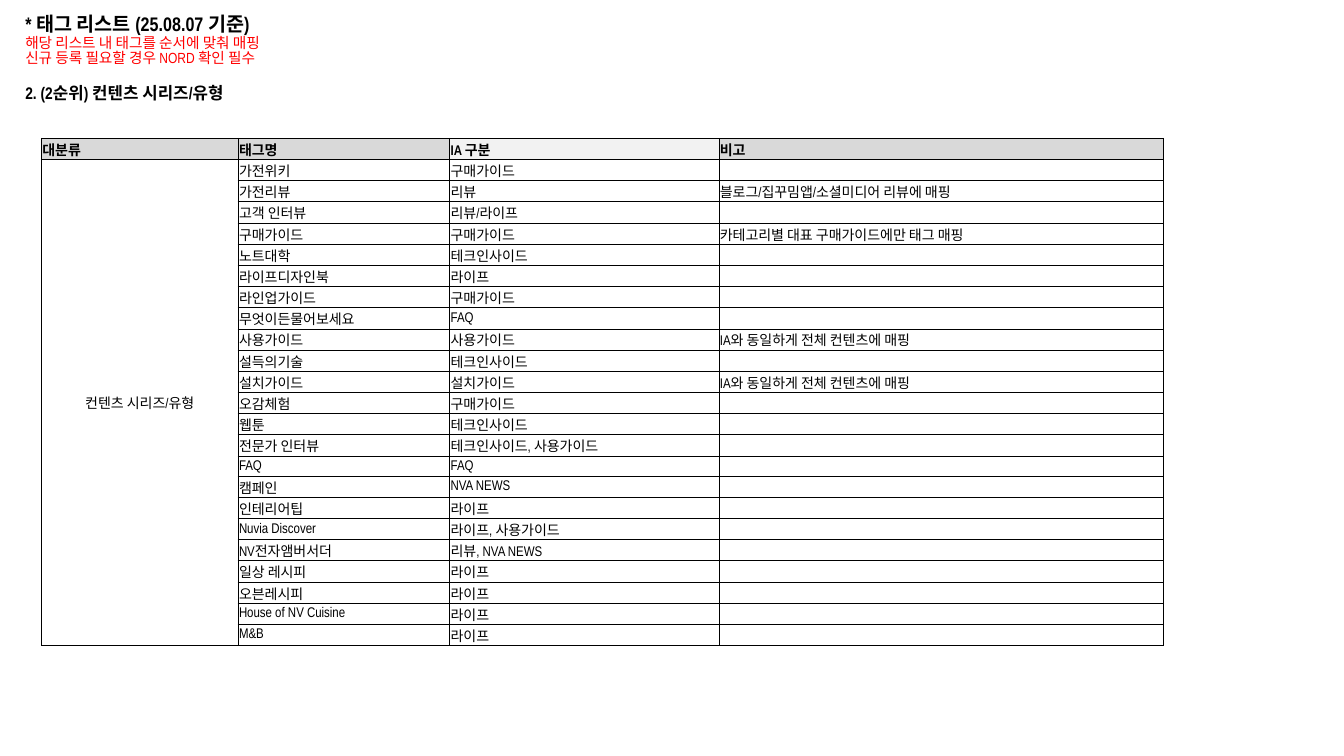
from dataclasses import dataclass

from lxml.etree import SubElement
from pptx import Presentation
from pptx.dml.color import RGBColor
from pptx.enum.text import MSO_ANCHOR as Anchor, MSO_AUTO_SIZE as AutoSize, PP_ALIGN as Align
from pptx.oxml.ns import qn
from pptx.slide import Slide
from pptx.table import Table, _Cell as Cell
from pptx.util import Emu, Inches, Pt

WIDTH, HEIGHT = Inches(13.33), Inches(7.5)
FONT = "Arial Narrow"
BODY_SIZE = 10
COLORS = {
    "black": "000000",
    "red": "FF0000",
    "gray": "D9D9D9",
    "pale": "F2F2F2",
}


@dataclass(frozen=True)
class Line:
    text: str
    size: float
    color: str = "black"
    bold: bool = False
    before: float = 0


@dataclass(frozen=True)
class Column:
    heading: str
    share: float
    fill: str = "gray"


@dataclass(frozen=True)
class Tag:
    name: str
    section: str
    note: str = ""


TITLE_LINES = [
    Line("* 태그 리스트 (25.08.07 기준)", 14, bold=True),
    Line("해당 리스트 내 태그를 순서에 맞춰 매핑", 10.5, "red"),
    Line("신규 등록 필요할 경우 NORD 확인 필수", 10.5, "red"),
    Line("2. (2순위) 컨텐츠 시리즈/유형", 12, bold=True, before=13),
]
COLUMNS = [
    Column("대분류", 14.63),
    Column("태그명", 15.75),
    Column("IA 구분", 20.03, "pale"),
    Column("비고", 33.08),
]
CATEGORY = "컨텐츠 시리즈/유형"
SAME_AS_IA = "IA와 동일하게 전체 컨텐츠에 매핑"
TAGS = [
    Tag("가전위키", "구매가이드"),
    Tag("가전리뷰", "리뷰", "블로그/집꾸밈앱/소셜미디어 리뷰에 매핑"),
    Tag("고객 인터뷰", "리뷰/라이프"),
    Tag("구매가이드", "구매가이드", "카테고리별 대표 구매가이드에만 태그 매핑"),
    Tag("노트대학", "테크인사이드"),
    Tag("라이프디자인북", "라이프"),
    Tag("라인업가이드", "구매가이드"),
    Tag("무엇이든물어보세요", "FAQ"),
    Tag("사용가이드", "사용가이드", SAME_AS_IA),
    Tag("설득의기술", "테크인사이드"),
    Tag("설치가이드", "설치가이드", SAME_AS_IA),
    Tag("오감체험", "구매가이드"),
    Tag("웹툰", "테크인사이드"),
    Tag("전문가 인터뷰", "테크인사이드, 사용가이드"),
    Tag("FAQ", "FAQ"),
    Tag("캠페인", "NVA NEWS"),
    Tag("인테리어팁", "라이프"),
    Tag("Nuvia Discover", "라이프, 사용가이드"),
    Tag("NV전자앰버서더", "리뷰, NVA NEWS"),
    Tag("일상 레시피", "라이프"),
    Tag("오븐레시피", "라이프"),
    Tag("House of NV Cuisine", "라이프"),
    Tag("M&B", "라이프"),
]


def across(percent: float) -> Emu:
    return Emu(round(WIDTH * percent / 100))


def down(percent: float) -> Emu:
    return Emu(round(HEIGHT * percent / 100))


def rgb(name: str) -> RGBColor:
    return RGBColor.from_string(COLORS[name])


def format_runs(para, size: float, color: str, bold: bool) -> None:
    for span in para.runs:
        span.font.name = FONT
        span.font.size = Pt(size)
        span.font.bold = bold
        span.font.color.rgb = rgb(color)


def draw_title(page: Slide) -> None:
    box = page.shapes.title
    box.left, box.top = across(1.13), down(1.2)
    box.width, box.height = across(23.63), down(19.87)
    frame = box.text_frame
    frame.text = "\n".join(line.text for line in TITLE_LINES)
    frame.word_wrap = True
    frame.auto_size = AutoSize.NONE
    frame.vertical_anchor = Anchor.TOP
    for para, line in zip(frame.paragraphs, TITLE_LINES):
        para.alignment = Align.LEFT
        para.line_spacing = 0.9
        para.space_before = Pt(line.before)
        format_runs(para, line.size, line.color, line.bold)


def draw_borders(cell: Cell) -> None:
    properties = cell._tc.get_or_add_tcPr()
    for position, side in enumerate(("lnL", "lnR", "lnT", "lnB")):
        border = SubElement(properties, qn(f"a:{side}"), w=str(Pt(0.5)))
        fill = SubElement(border, qn("a:solidFill"))
        SubElement(fill, qn("a:srgbClr"), val=COLORS["black"])
        properties.insert(position, border)


def fill_cell(cell: Cell, text: str, bold: bool = False, fill: str = "") -> None:
    cell.margin_left = cell.margin_top = cell.margin_right = Inches(0.01)
    cell.margin_bottom = 0
    cell.vertical_anchor = Anchor.MIDDLE
    if fill:
        cell.fill.solid()
        cell.fill.fore_color.rgb = rgb(fill)
    else:
        cell.fill.background()
    para = cell.text_frame.paragraphs[0]
    if text:
        para.text = text
        format_runs(para, BODY_SIZE, "black", bold)
    else:
        SubElement(para._p, qn("a:endParaRPr"), sz=str(BODY_SIZE * 100))
    draw_borders(cell)


def draw_table(page: Slide) -> Table:
    row_count = len(TAGS) + 1
    row_height = down(2.64)
    frame = page.shapes.add_table(
        row_count, len(COLUMNS), across(3.08), down(18.27),
        across(sum(column.share for column in COLUMNS)), row_height * row_count)
    table = frame.table
    table.first_row = table.horz_banding = False
    for row in table.rows:
        row.height = row_height
    for index, column in enumerate(COLUMNS):
        table.columns[index].width = across(column.share)
        fill_cell(table.cell(0, index), column.heading, True, column.fill)
    for row, tag in enumerate(TAGS, start=1):
        category = CATEGORY if row == 1 else ""
        for index, text in enumerate((category, tag.name, tag.section, tag.note)):
            fill_cell(table.cell(row, index), text)
    category_cell = table.cell(1, 0)
    category_cell.merge(table.cell(len(TAGS), 0))
    category_cell.text_frame.paragraphs[0].alignment = Align.CENTER
    return table


def main() -> None:
    deck = Presentation()
    deck.slide_width, deck.slide_height = WIDTH, HEIGHT
    page = deck.slides.add_slide(deck.slide_layouts[5])
    draw_title(page)
    draw_table(page)
    deck.save("out.pptx")


if __name__ == "__main__":
    main()
